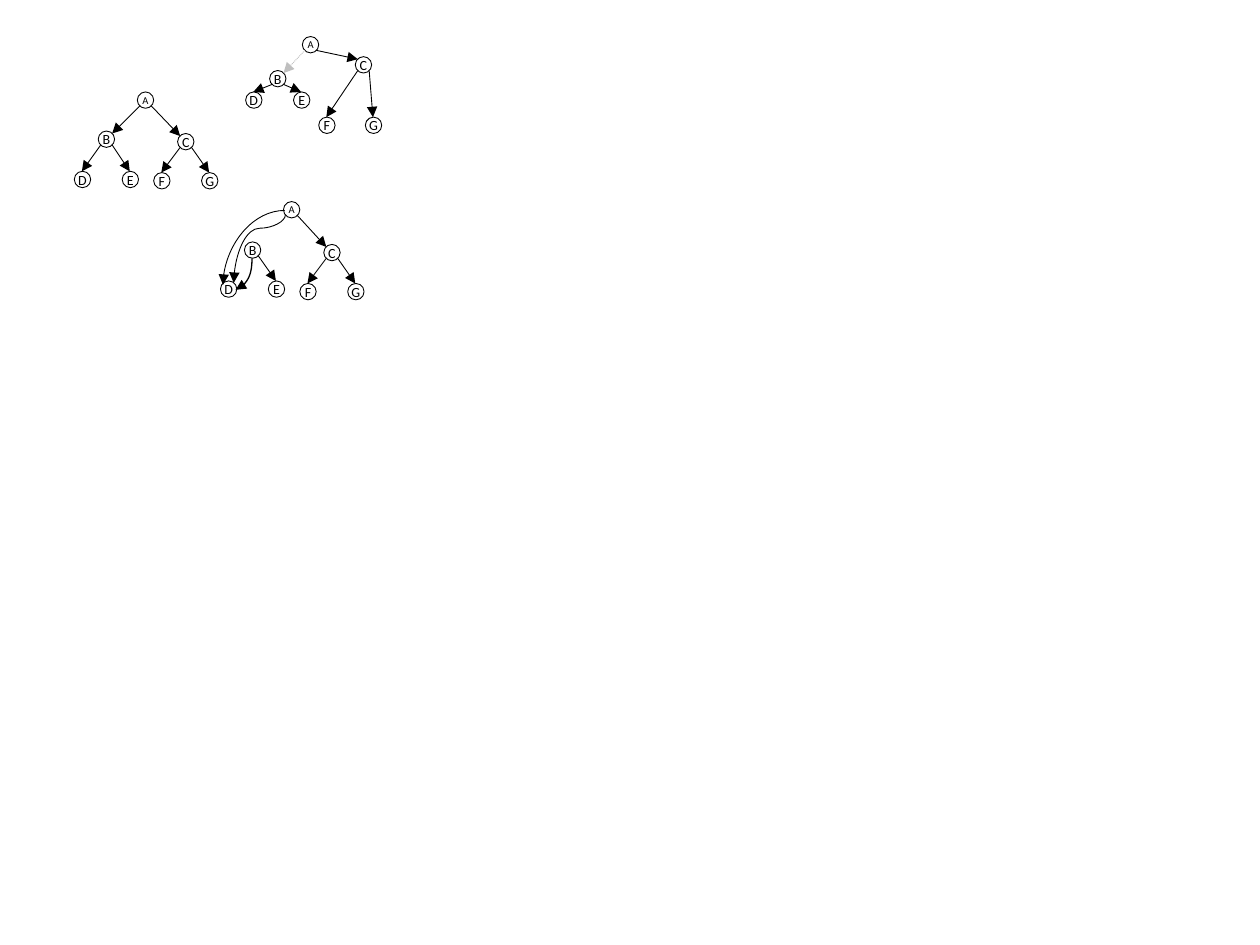
from lxml import etree
from pptx import Presentation
from pptx.dml.color import RGBColor
from pptx.enum.dml import MSO_LINE
from pptx.enum.shapes import MSO_CONNECTOR as CONN, MSO_SHAPE as SHAPE
from pptx.enum.text import MSO_ANCHOR as ANCHOR, PP_ALIGN as ALIGN
from pptx.oxml.ns import qn
from pptx.util import Inches, Pt

NODE = 0.13            # node diameter
NEAR, FAR = 0.02, 0.11  # diagonal points on a node's outline


def label(shape, text, size=8, font="Calibri", color="000000"):
    tf = shape.text_frame
    tf.margin_left = tf.margin_right = tf.margin_top = tf.margin_bottom = 0
    tf.word_wrap = False
    tf.vertical_anchor = ANCHOR.MIDDLE
    p = tf.paragraphs[0]
    p.alignment = ALIGN.CENTER
    r = p.add_run()
    r.text = text
    r.font.size, r.font.name = Pt(size), font
    r.font.color.rgb = RGBColor.from_string(color)


def arrow(kind, x1, y1, x2, y2, color="000000", width=0.5, dash=None):
    c = s.shapes.add_connector(kind, Inches(x1), Inches(y1), Inches(x2), Inches(y2))
    c.line.color.rgb = RGBColor.from_string(color)
    c.line.width = Pt(width)
    if dash:
        c.line.dash_style = dash
    spPr = c._element.spPr
    etree.SubElement(spPr.find(qn("a:ln")), qn("a:tailEnd"), type="triangle")
    etree.SubElement(spPr, qn("a:effectLst"))
    return spPr


prs = Presentation()
prs.slide_width, prs.slide_height = Inches(10), Inches(7.5)
s = prs.slides.add_slide(prs.slide_layouts[6])

# Top-left corner of every node
trees = [
    {"A": (1.09, 0.73), "B": (0.78, 1.04), "C": (1.41, 1.06), "D": (0.59, 1.36),
     "E": (0.97, 1.36), "F": (1.22, 1.37), "G": (1.6, 1.37)},
    {"A": (2.4, 0.29), "B": (2.14, 0.56), "C": (2.82, 0.45), "D": (1.95, 0.73),
     "E": (2.33, 0.73), "F": (2.53, 0.93), "G": (2.9, 0.93)},
    {"A": (2.25, 1.6), "B": (1.94, 1.92), "C": (2.57, 1.94), "D": (1.75, 2.23),
     "E": (2.13, 2.23), "F": (2.38, 2.25), "G": (2.76, 2.25)},
]
children = {"A": "BC", "B": "DE", "C": "FG"}
dotted = {(1, "AB"): {"color": "BFBFBF", "dash": MSO_LINE.ROUND_DOT}}
curved = {(2, "AB"), (2, "BD")}

for i, tree in enumerate(trees):
    # Nodes
    for name, (x, y) in tree.items():
        sp = s.shapes.add_shape(SHAPE.OVAL, Inches(x), Inches(y), Inches(NODE), Inches(NODE))
        sp.shadow.inherit = False
        sp.fill.background()
        sp.line.color.rgb = RGBColor.from_string("000000")
        sp.line.width = Pt(0.5)
        label(sp, name, size=6 if name == "A" else 8)

    # Straight edges: inner nodes are met on the diagonal, leaves at the top
    for parent, pair in children.items():
        for child, out, into in zip(pair, (NEAR, FAR), (FAR, NEAR)):
            edge = (i, parent + child)
            if edge in curved:
                continue
            (px, py), (cx, cy) = tree[parent], tree[child]
            dx, dy = (into, NEAR) if child in children else (0.06, 0)
            arrow(CONN.STRAIGHT, px + out, py + FAR, cx + dx, cy + dy, **dotted.get(edge, {}))

# Curved edges into D of the third tree: frame, rotation, flip, preset, bend, width
curves = [
    (1.81, 2.11, 0.25, 0.13, 90, False, "curvedConnector2", None, 0.75),
    (1.77, 1.67, 0.49, 0.59, 180, True, "curvedConnector2", None, 0.5),
    (1.79, 1.77, 0.54, 0.41, 90, False, "curvedConnector3", 19800, 0.5),
]
for x, y, w, h, angle, flip, preset, bend, width in curves:
    spPr = arrow(CONN.CURVE, x, y, x + w, y + h, width=width)
    xfrm, geom = spPr.find(qn("a:xfrm")), spPr.find(qn("a:prstGeom"))
    xfrm.set("rot", str(angle * 60000))
    if flip:
        xfrm.set("flipV", "1")
    geom.set("prst", preset)
    if bend:
        etree.SubElement(geom.find(qn("a:avLst")), qn("a:gd"), name="adj1", fmla=f"val {bend}")

prs.save("out.pptx")
